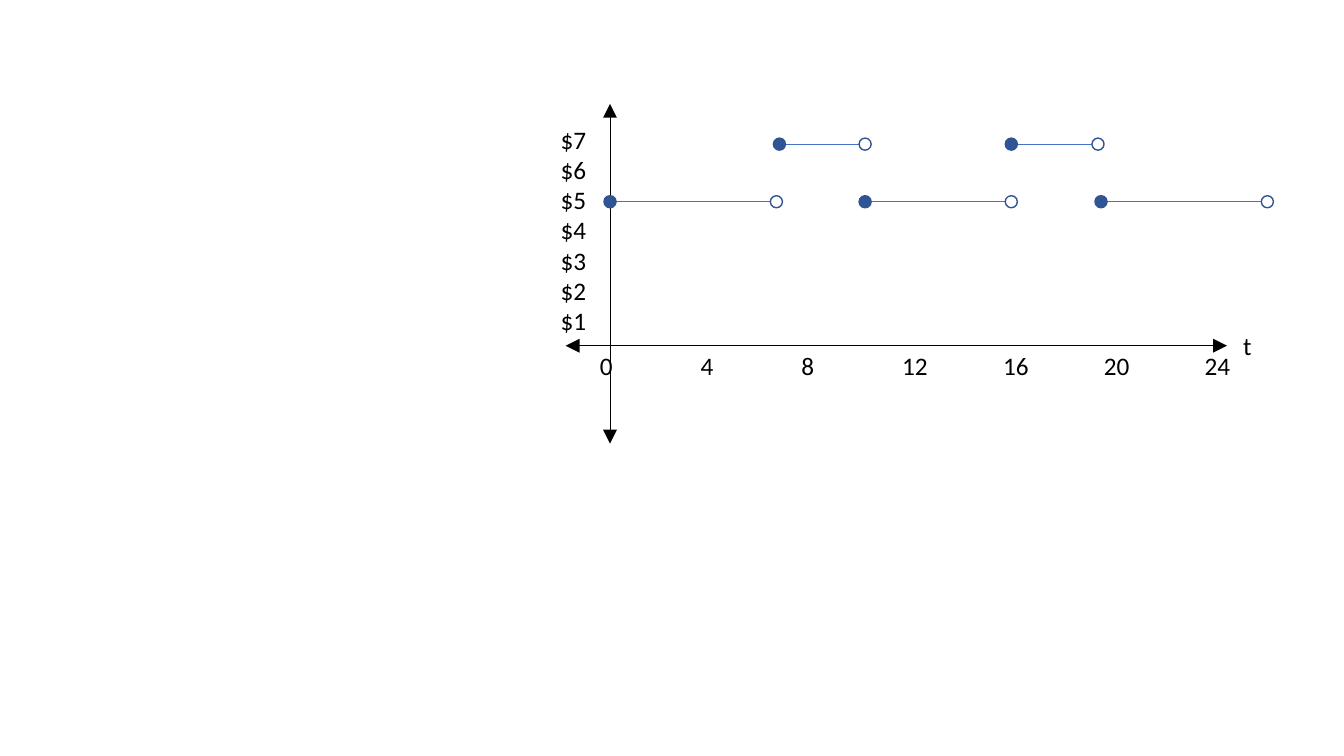
from dataclasses import dataclass

from lxml.etree import SubElement
from pptx import Presentation
from pptx.dml.color import RGBColor
from pptx.enum.shapes import MSO_CONNECTOR as Connector, MSO_SHAPE as Shape
from pptx.enum.text import MSO_AUTO_SIZE as AutoSize
from pptx.oxml.ns import qn
from pptx.util import Inches, Pt

COLORS = {
    "axis": "000000",
    "step": "4472C4",
    "closed": "2F5597",
    "open": "FFFFFF",
    "outline": "325491",
}
ORIGIN_X, ORIGIN_Y = 6.05, 3.43
COL, ROW = 1, 2 / 7
DOT = 0.12


@dataclass
class Step:
    price: int
    start: float
    end: float


@dataclass
class Axis:
    x1: float
    y1: float
    x2: float
    y2: float


@dataclass
class Label:
    lines: list[str]
    left: float
    top: float
    width: float
    height: float
    margin_x: float
    margin_y: float
    wrap: bool = True


STEPS = [
    Step(5, 0, 1.65),
    Step(7, 1.68, 2.53),
    Step(5, 2.53, 3.98),
    Step(7, 3.98, 4.84),
    Step(5, 4.87, 6.52),
]
AXES = [
    Axis(5.61, ORIGIN_Y, 12.17, ORIGIN_Y),
    Axis(ORIGIN_X, 1.03, ORIGIN_X, 4.4),
]
LABELS = [
    Label(["\t".join(str(hour) for hour in range(0, 25, 4))],
          5.85, ORIGIN_Y, 6.48, 0.4, 0.1, 0.05),
    Label(["t"], 12.33, 3.28, 0.08, 0.3, 0, 0, wrap=False),
    Label([f"${price}" for price in range(7, 0, -1)],
          5.56, 1.18, 0.43, 2.22, 0, 0.05),
]


def rgb(name: str) -> RGBColor:
    return RGBColor.from_string(COLORS[name])


def add_line(s, x1: float, y1: float, x2: float, y2: float,
             color: str, arrows: bool = False) -> None:
    line = s.shapes.add_connector(
        Connector.STRAIGHT, *(Inches(v) for v in (x1, y1, x2, y2)))
    line.line.color.rgb = rgb(color)
    line.line.width = Pt(0.5)
    props = line._element.spPr
    if arrows:
        for end in ("a:headEnd", "a:tailEnd"):
            SubElement(props.find(qn("a:ln")), qn(end),
                       type="triangle", w="lg", len="lg")
    SubElement(props, qn("a:effectLst"))


def add_dot(s, x: float, y: float, fill: str) -> None:
    dot = s.shapes.add_shape(
        Shape.OVAL, Inches(x - DOT / 2), Inches(y - DOT / 2),
        Inches(DOT), Inches(DOT))
    dot.shadow.inherit = False
    dot.fill.solid()
    dot.fill.fore_color.rgb = rgb(fill)
    dot.line.color.rgb = rgb("outline")
    dot.line.width = Pt(1)


def add_tabs(p, count: int) -> None:
    tabs = SubElement(p._p.get_or_add_pPr(), qn("a:tabLst"))
    for i in range(1, count + 1):
        SubElement(tabs, qn("a:tab"), pos=str(Inches(i * COL)), algn="l")


def add_label(s, label: Label) -> None:
    sp = s.shapes.add_textbox(
        *(Inches(v) for v in (label.left, label.top, label.width, label.height)))
    tf = sp.text_frame
    frame_format = {
        "margin_left": Inches(label.margin_x),
        "margin_right": Inches(label.margin_x),
        "margin_top": Inches(label.margin_y),
        "margin_bottom": Inches(label.margin_y),
        "word_wrap": label.wrap,
        "auto_size": AutoSize.SHAPE_TO_FIT_TEXT,
    }
    for name, value in frame_format.items():
        setattr(tf, name, value)
    for i, text in enumerate(label.lines):
        p = tf.add_paragraph() if i else tf.paragraphs[0]
        if "\t" in text:
            add_tabs(p, text.count("\t"))
        r = p.add_run()
        r.text = text
        for name, value in {"name": "Calibri", "size": Pt(18)}.items():
            setattr(r.font, name, value)
        r.font.color.rgb = rgb("axis")


def add_step(s, step: Step) -> None:
    x1, x2 = (ORIGIN_X + t * COL for t in (step.start, step.end))
    y = ORIGIN_Y - step.price * ROW
    add_line(s, x1, y, x2, y, "step")
    add_dot(s, x1, y, "closed")
    add_dot(s, x2, y, "open")


prs = Presentation()
prs.slide_width, prs.slide_height = Inches(13.33), Inches(7.5)
s = prs.slides.add_slide(prs.slide_layouts[6])

for axis in AXES:
    add_line(s, axis.x1, axis.y1, axis.x2, axis.y2, "axis", arrows=True)
for label in LABELS:
    add_label(s, label)
for step in sorted(STEPS, key=lambda step: step.price):
    add_step(s, step)

prs.save("out.pptx")
